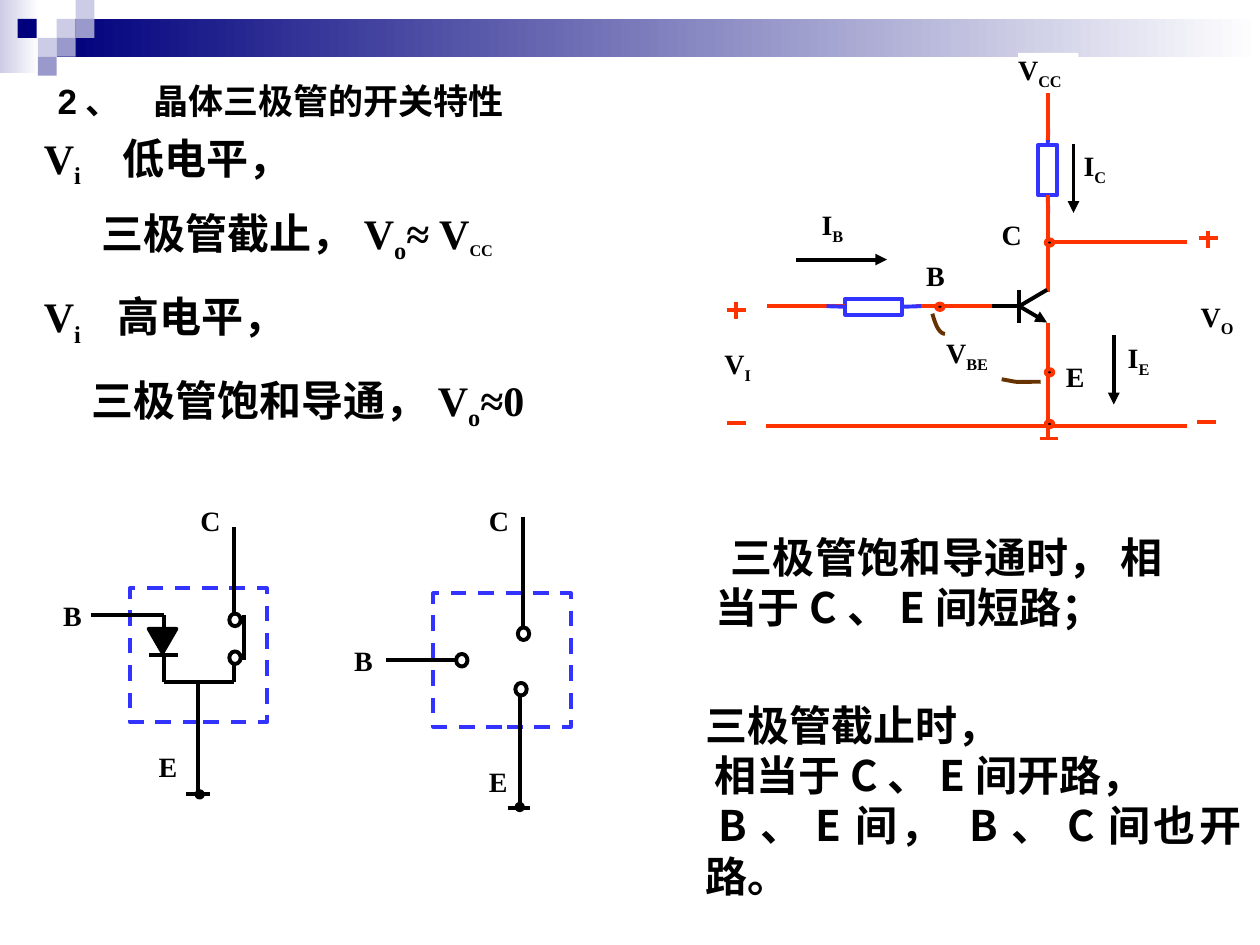
from lxml import etree
from pptx import Presentation
from pptx.dml.color import RGBColor
from pptx.enum.dml import MSO_LINE
from pptx.enum.shapes import MSO_CONNECTOR, MSO_SHAPE
from pptx.enum.text import PP_ALIGN
from pptx.oxml.ns import qn
from pptx.util import Inches, Pt

RECT, OVAL, TRIANGLE = MSO_SHAPE.RECTANGLE, MSO_SHAPE.OVAL, MSO_SHAPE.FLOWCHART_MERGE
STRAIGHT, DASH = MSO_CONNECTOR.STRAIGHT, MSO_LINE.DASH
LEFT, JUSTIFY = PP_ALIGN.LEFT, PP_ALIGN.JUSTIFY
BLACK, WHITE, RED, BLUE, BROWN = "000000", "FFFFFF", "FF3300", "3333FF", "663300"
NAVY, PALE, LILAC = "00007D", "CCCCE6", "9999CC"
TIMES, ARIAL, NOTO = "Times New Roman", "Arial", "Noto Sans CJK SC"
color = RGBColor.from_string

prs = Presentation()
prs.slide_width, prs.slide_height = Inches(10), Inches(7.5)
s = prs.slides.add_slide(prs.slide_layouts[6])


def add_box(kind, x, y, w, h, fill, line=None):
    sp = s.shapes.add_shape(kind, Inches(x), Inches(y), Inches(w), Inches(h))
    sp.shadow.inherit = False
    sp.fill.solid()
    sp.fill.fore_color.rgb = color(fill)
    if line:
        sp.line.color.rgb = color(line)
        sp.line.width = Pt(2.25)
    else:
        sp.line.fill.background()
    return sp


def write(p, runs, size, align=JUSTIFY, before=0, indent=0, gap=0):
    p.alignment = align
    p.space_before = Pt(before)
    p._p.get_or_add_pPr().set("indent", str(Inches(indent)))
    p.font.size = Pt(size)
    p.font.bold = True
    p.font.color.rgb = color(BLACK)
    for text, font, sub in runs:
        r = p.add_run()
        r.text = text
        r.font.name = font
        if sub:
            r.font._element.set("baseline", "-25000")
        if text == "CC":
            r.font.size = Pt(16)
        if text == " ":
            r.font._element.set("spc", str(gap * 100))


for x, y, w, h, shade in [(0, 0, 0.31, 0.58, PALE), (0.45, 0.15, 9.55, 0.3, NAVY)]:
    sp = add_box(RECT, x, y, w, h, WHITE)
    sp.fill.gradient()
    sp.fill.gradient_angle = 0
    for stop, shade_end, place in zip(sp.fill.gradient_stops, (shade, WHITE), (0, 1)):
        stop.color.rgb = color(shade_end)
        stop.position = place

for x, y, fill in [
    (0.45, 0.15, PALE), (0.6, 0, PALE), (0.6, 0.15, LILAC), (0.3, 0.3, PALE),
    (0.14, 0.15, NAVY), (0.45, 0.3, LILAC), (0.3, 0.45, LILAC),
]:
    add_box(RECT, x, y, 0.15, 0.15, fill)

for x, y in [(3.44, 4.71), (1.03, 4.67)]:
    add_box(RECT, x, y, 1.09, 1.06, WHITE, BLUE).line.dash_style = DASH

for x, y, w, h, main, sub in [
    (2.81, 5.11, 0.18, 0.53, "B", ""), (3.88, 4, 0.18, 0.35, "C", ""),
    (3.88, 6.07, 0.18, 0.35, "E", ""), (0.5, 4.75, 0.18, 0.53, "B", ""),
    (1.59, 4, 0.18, 0.35, "C", ""), (1.26, 5.95, 0.18, 0.35, "E", ""),
    (8.08, 0.42, 0.48, 0.37, "V", "CC"), (5.75, 2.75, 0.47, 0.37, "V", "I"),
    (9.53, 2.38, 0.47, 0.37, "V", "O"), (6.52, 1.65, 0.71, 0.37, "I", "B"),
    (8.6, 1.18, 0.26, 0.29, "I", "C"), (7.51, 2.66, 0.71, 0.37, "V", "BE"),
    (7.35, 2.05, 0.24, 0.36, "B", ""), (8.46, 2.85, 0.24, 0.37, "E", ""),
    (7.95, 1.73, 0.24, 0.37, "C", ""), (8.95, 2.7, 0.47, 0.37, "I", "E"),
]:
    sp = s.shapes.add_textbox(Inches(x), Inches(y), Inches(w), Inches(h))
    sp.fill.solid()
    sp.fill.fore_color.rgb = color(WHITE)
    tf = sp.text_frame
    tf.word_wrap = True
    tf.margin_left = tf.margin_right = tf.margin_top = tf.margin_bottom = 0
    runs = [(main, TIMES, False)]
    if sub:
        runs.append((sub, TIMES, True))
    write(tf.paragraphs[0], runs, 16, LEFT)

base_resistor = add_box(RECT, 6.71, 2.37, 0.45, 0.13, WHITE, BLUE)
collector_resistor = add_box(RECT, 8.24, 1.15, 0.15, 0.4, WHITE, BLUE)
add_box(TRIANGLE, 1.18, 4.99, 0.22, 0.19, BLACK, BLACK)

switch_lines = [
    (4.15, 4.1, 4.15, 4.99), (4.13, 5.51, 4.13, 6.39), (4.03, 6.41, 4.21, 6.41),
    (3.64, 5.24, 3.06, 5.24), (1.3, 5, 1.3, 4.88), (1.3, 5.2, 1.3, 5.41),
    (1.41, 5.2, 1.18, 5.2), (1.3, 5.41, 1.86, 5.41), (1.86, 5.41, 1.86, 5.24),
    (1.86, 4.88, 1.86, 4.18), (1.94, 4.88, 1.94, 5.24), (1.57, 5.41, 1.57, 6.3),
    (1.48, 6.3, 1.67, 6.3), (1.3, 4.88, 0.72, 4.88),
]
input_wires = [(6.09, 2.43, 6.71, 2.43), (7.27, 2.43, 7.98, 2.43)]
leads = [
    (6.71, 2.43, 6.56, 2.43, base_resistor, 1), (7.16, 2.43, 7.31, 2.43, base_resistor, 3),
    (8.32, 1.55, 8.32, 1.69, collector_resistor, 2), (8.32, 1.15, 8.32, 1.02, collector_resistor, 0),
]
wires = [
    (8.32, 2.32, 8.32, 1.95), (8.32, 2.56, 8.32, 3.49), (8.32, 2.28, 8.32, 1.55),
    (8.32, 1.11, 8.32, 0.74), (8.25, 3.48, 8.4, 3.48), (8.33, 1.92, 9.42, 1.92),
    (6.08, 3.38, 9.42, 3.38),
]
signs = [
    (5.77, 2.46, 5.92, 2.46), (5.84, 2.4, 5.84, 2.53), (5.77, 3.36, 5.92, 3.36),
    (9.52, 1.89, 9.67, 1.89), (9.59, 1.83, 9.59, 1.97), (9.5, 3.35, 9.65, 3.35),
]
transistor = [(8.09, 2.43, 8.31, 2.3), (8.09, 2.3, 8.09, 2.56), (8.09, 2.43, 7.87, 2.43)]
arrows = [
    (8.09, 2.43, 8.31, 2.56), (8.52, 1.14, 8.52, 1.69),
    (6.32, 2.06, 7.04, 2.06), (8.84, 2.66, 8.84, 3.21),
]
for group, ink in [
    (switch_lines, BLACK), (input_wires, RED), (leads, BLUE),
    (wires, RED), (signs, RED), (transistor, BLACK), (arrows, BLACK),
]:
    for x1, y1, x2, y2, *joint in group:
        line = s.shapes.add_connector(STRAIGHT, Inches(x1), Inches(y1), Inches(x2), Inches(y2))
        line.line.color.rgb = color(ink)
        line.line.width = Pt(2.25)
        if joint:
            line.begin_connect(*joint)
        if group is arrows:
            etree.SubElement(line.line._get_or_add_ln(), qn("a:tailEnd"), type="triangle")
        etree.SubElement(line._element.spPr, qn("a:effectLst"))

for curve in [
    [(7.4, 2.49), (7.41, 2.52), (7.44, 2.65), (7.5, 2.65)],
    [(7.95, 3.01), (8.12, 3.04), (8.01, 3.03), (8.26, 3.03)],
]:
    points = []
    for i in range(13):
        t = i / 12
        weights = ((1 - t) ** 3, 3 * t * (1 - t) ** 2, 3 * t * t * (1 - t), t ** 3)
        points.append([Inches(sum(w * v for w, v in zip(weights, axis))) for axis in zip(*curve)])
    arc = s.shapes.build_freeform(*points[0])
    arc.add_line_segments(points[1:], close=False)
    sp = arc.convert_to_shape()
    sp.shadow.inherit = False
    sp.fill.background()
    sp.line.color.rgb = color(BROWN)
    sp.line.width = Pt(2.25)

for x, y in [(3.62, 5.19), (4.11, 4.98), (4.09, 5.42), (1.82, 4.87), (1.82, 5.17)]:
    add_box(OVAL, x, y, 0.09, 0.1, WHITE, BLACK)
for x, y in [(1.56, 6.28), (4.1, 6.38)]:
    add_box(OVAL, x, y, 0.05, 0.05, BLACK, BLACK)
for x, y in [(8.3, 3.34), (8.3, 1.9), (7.43, 2.41), (8.3, 2.93)]:
    add_box(OVAL, x, y, 0.06, 0.05, BLACK, RED)

v_in = [("V", TIMES, False), ("i", TIMES, True), (" ", TIMES, False)]
v_out = [("V", TIMES, False), ("o", TIMES, True)]
for x, y, w, h, size, paragraphs in [
    (0.36, 0.58, 6.44, 0.44, 20, [
        ([("2、", ARIAL, False), (" ", ARIAL, False), ("晶体三极管的开关特性", ARIAL, False)], 0, 0, 14),
    ]),
    (0.25, 1, 5.58, 2.48, 24, [
        (v_in + [("低电平，", ARIAL, False)], 0, 0, 12),
        ([("三极管截止，", ARIAL, False), *v_out, ("≈ V", TIMES, False), ("CC", TIMES, True)], 10, 0.46, 0),
        (v_in + [("高电平，", ARIAL, False)], 15, 0, 9),
        ([("三极管饱和导通，", ARIAL, False), *v_out, ("≈0", TIMES, False)], 15, 0.38, 0),
    ]),
    (5.58, 4.17, 3.75, 0.9, 24, [([("三极管饱和导通时， 相当于C、E间短路；", NOTO, False)], 0, 0.12, 0)]),
    (5.5, 5.5, 4.45, 1.3, 24, [
        ([("三极管截止时，", NOTO, False)], 0, 0, 0),
        ([("相当于C、E间开路，", NOTO, False)], 0, 0.07, 0),
        ([("B、E间， B、C间也开路。", NOTO, False)], 0, 0.1, 0),
    ]),
]:
    tf = s.shapes.add_textbox(Inches(x), Inches(y), Inches(w), Inches(h)).text_frame
    tf.word_wrap = True
    for i, (runs, before, indent, gap) in enumerate(paragraphs):
        p = tf.add_paragraph() if i else tf.paragraphs[0]
        write(p, runs, size, JUSTIFY, before, indent, gap)

prs.save("out.pptx")
